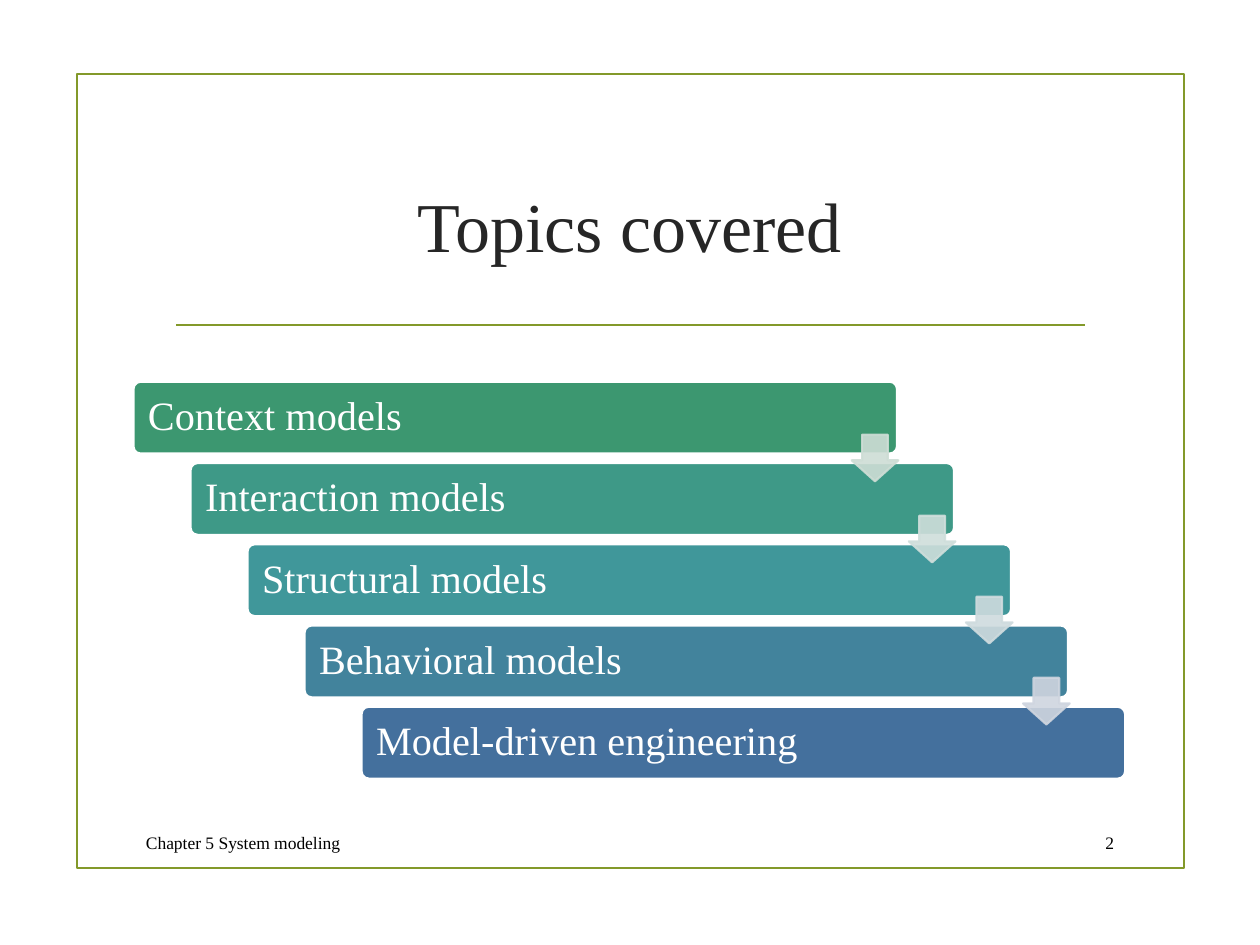
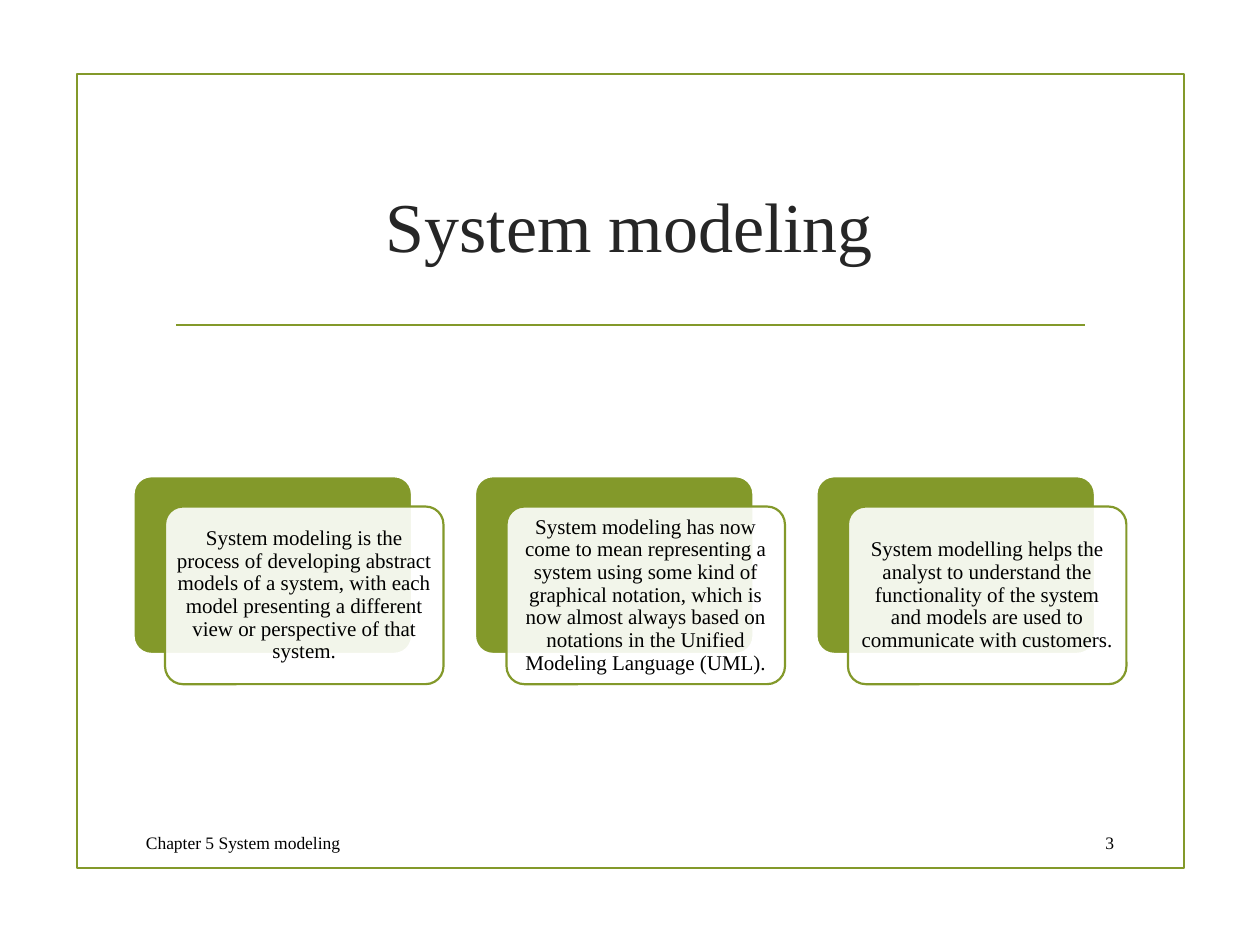
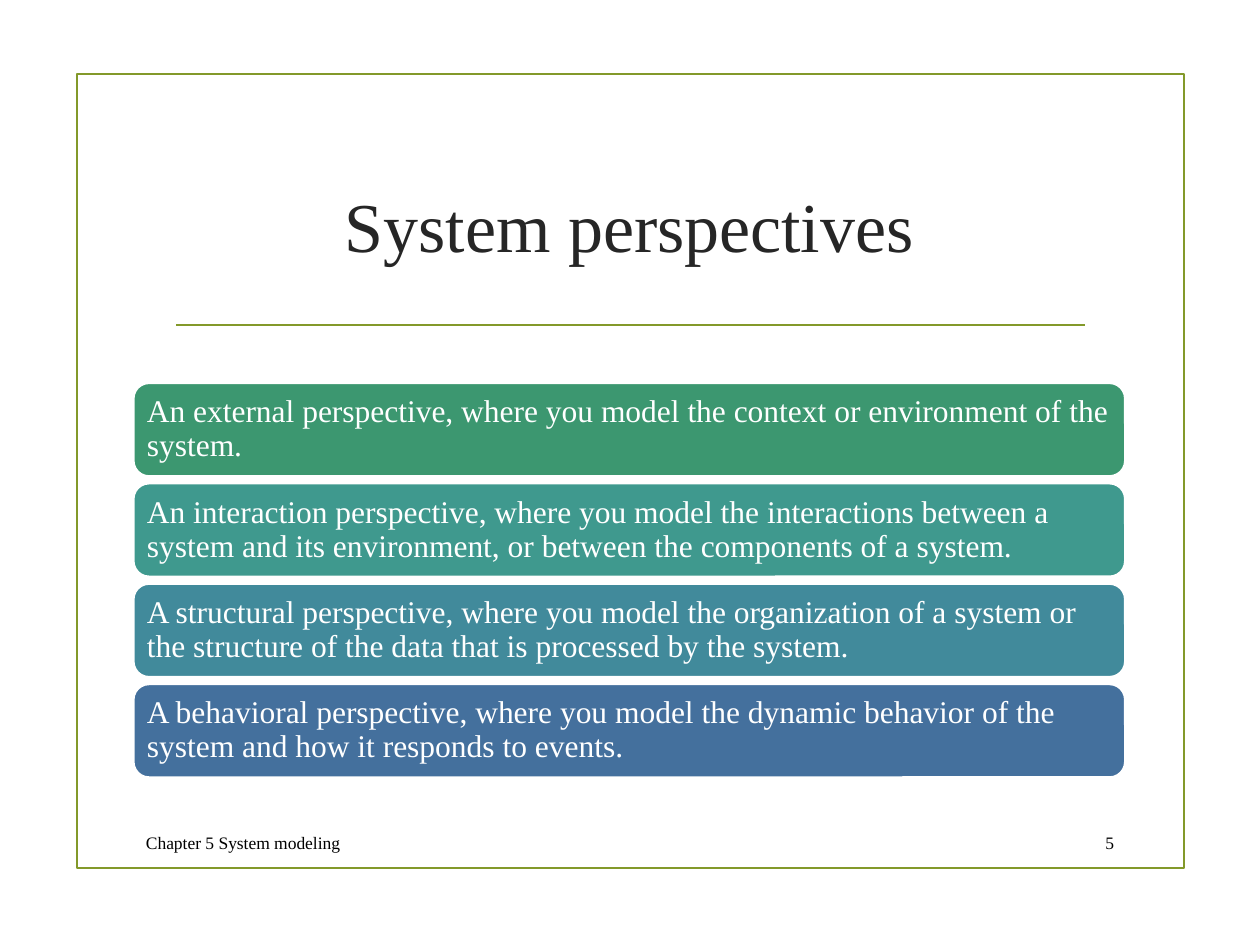
import pptx
import pptx.dml.color
import pptx.enum.shapes
import pptx.enum.text
import pptx.oxml.ns
import pptx.oxml.xmlchemy
import pptx.util
from pptx.util import Inches

FONT = "Times New Roman"
OLIVE = "83992A"
WHITE = "FFFFFF"
BLACK = "000000"
TITLE_COLOR = "262626"
LEFT, WIDTH = 1.06, 7.87
FOOTER = "Chapter 5 System modeling"

SHAPE = pptx.enum.shapes.MSO_SHAPE
ALIGN = pptx.enum.text.PP_ALIGN

TOPICS = [
    ("Context models", "3C9770"),
    ("Interaction models", "3E9987"),
    ("Structural models", "40979A"),
    ("Behavioral models", "42839C"),
    ("Model-driven engineering", "44709D"),
]
ARROW_COLORS = ["CEDDD5", "CFDEDB", "CFDBDE", "CFD5DF"]

STATEMENTS = [
    "System modeling is the process of developing abstract models of a system, "
    "with each model presenting a different view or perspective of that system.",
    "System modeling has now come to mean representing a system using some kind of "
    "graphical notation, which is now almost always based on notations in the "
    "Unified Modeling Language (UML).",
    "System modelling helps the analyst to understand the functionality of the "
    "system and models are used to communicate with customers.",
]

PERSPECTIVES = [
    ("An external perspective, where you model the context or environment of the "
     "system.", "3C9770"),
    ("An interaction perspective, where you model the interactions between a system "
     "and its environment, or between the components of a system.", "3F998E"),
    ("A structural perspective, where you model the organization of a system or the "
     "structure of the data that is processed by the system.", "418A9B"),
    ("A behavioral perspective, where you model the dynamic behavior of the system "
     "and how it responds to events.", "44709D"),
]


def rgb(value):
    return pptx.dml.color.RGBColor.from_string(value)


def spread(first, last, count):
    """Return count evenly spaced positions from first to last."""
    return [first + i * (last - first) / (count - 1) for i in range(count)]


def set_opacity(element, percent):
    """Add an alpha value to every solid colour below an XML element."""
    for color in element.iter(pptx.oxml.ns.qn("a:srgbClr")):
        alpha = pptx.oxml.xmlchemy.OxmlElement("a:alpha")
        alpha.set("val", str(percent * 1000))
        color.append(alpha)


def set_text(sp, text, size, color, align=ALIGN.LEFT, inset=None, spacing=1.0):
    tf = sp.text_frame
    tf.word_wrap = True
    tf.auto_size = pptx.enum.text.MSO_AUTO_SIZE.NONE
    tf.vertical_anchor = pptx.enum.text.MSO_ANCHOR.MIDDLE
    if inset is not None:
        tf.margin_left = tf.margin_right = Inches(inset)
        tf.margin_top = tf.margin_bottom = Inches(inset)
    p = tf.paragraphs[0]
    p.text = text
    p.alignment = align
    p.line_spacing = spacing
    p.font.name = FONT
    p.font.size = pptx.util.Pt(size)
    p.font.color.rgb = rgb(color)


def add_shape(slide, kind, x, y, w, h, fill=None, line=WHITE, adjustments=()):
    sp = slide.shapes.add_shape(kind, Inches(x), Inches(y), Inches(w), Inches(h))
    sp.shadow.inherit = False
    for i, value in enumerate(adjustments):
        sp.adjustments[i] = value
    if fill:
        sp.fill.solid()
        sp.fill.fore_color.rgb = rgb(fill)
    else:
        sp.fill.background()
    sp.line.color.rgb = rgb(line)
    sp.line.width = pptx.util.Pt(1.25)
    return sp


def add_footer_text(slide, text, x, w, align):
    sp = slide.shapes.add_textbox(Inches(x), Inches(6.53), Inches(w), Inches(0.31))
    set_text(sp, text, 10, BLACK, align)


def add_title_rule(slide):
    rule = slide.shapes.add_connector(
        pptx.enum.shapes.MSO_CONNECTOR.STRAIGHT,
        Inches(1.4), Inches(2.58), Inches(8.61), Inches(2.58))
    rule.line.color.rgb = rgb(OLIVE)
    rule.line.width = pptx.util.Pt(1.25)
    rule._element.spPr.append(pptx.oxml.xmlchemy.OxmlElement("a:effectLst"))


def add_framed_slide(prs, title, number):
    """Add a slide with the frame, title, rule and footer that all slides share."""
    slide = prs.slides.add_slide(prs.slide_layouts[5])
    add_shape(slide, SHAPE.RECTANGLE, 0.61, 0.59, 8.79, 6.3, line=OLIVE)
    add_title_rule(slide)
    sp = slide.shapes.title
    sp.left, sp.top = Inches(LEFT), Inches(1.07)
    sp.width, sp.height = Inches(WIDTH), Inches(1.43)
    set_text(sp, title, 40, TITLE_COLOR, ALIGN.CENTER)
    add_footer_text(slide, FOOTER, LEFT, 5.99, ALIGN.LEFT)
    add_footer_text(slide, str(number), 8.49, 0.45, ALIGN.RIGHT)
    return slide


def add_staircase(slide):
    count = len(TOPICS)
    steps = zip(TOPICS, spread(LEFT, 2.87, count), spread(3.03, 5.61, count))
    for (text, color), x, y in steps:
        bar = add_shape(slide, SHAPE.ROUNDED_RECTANGLE, x, y, 6.06, 0.57, color,
                        adjustments=[0.1])
        set_text(bar, text, 23, WHITE, inset=0.1, spacing=0.9)
    count = len(ARROW_COLORS)
    arrows = zip(ARROW_COLORS, spread(6.76, 8.12, count), spread(3.45, 5.38, count))
    for color, x, y in arrows:
        arrow = add_shape(slide, SHAPE.DOWN_ARROW, x, y, 0.37, 0.37, color, color,
                          [0.55, 0.45])
        set_opacity(arrow._element.spPr, 90)


def add_statement_cards(slide):
    for text, x in zip(STATEMENTS, spread(LEFT, 6.48, len(STATEMENTS))):
        add_shape(slide, SHAPE.ROUNDED_RECTANGLE, x, 3.78, 2.21, 1.41, OLIVE,
                  adjustments=[0.1])
        card = add_shape(slide, SHAPE.ROUNDED_RECTANGLE, x + 0.25, 4.02, 2.21, 1.41,
                         WHITE, OLIVE, [0.1])
        set_opacity(card._element.spPr.find(pptx.oxml.ns.qn("a:solidFill")), 90)
        set_text(card, text, 12, BLACK, ALIGN.CENTER, 0.05, 0.9)


def add_perspective_bars(slide):
    rows = zip(PERSPECTIVES, spread(3.04, 5.43, len(PERSPECTIVES)))
    for (text, color), y in rows:
        bar = add_shape(slide, SHAPE.ROUNDED_RECTANGLE, LEFT, y, WIDTH, 0.74, color)
        set_text(bar, text, 18, WHITE, inset=0.07, spacing=0.9)


def main():
    prs = pptx.Presentation()
    prs.slide_width, prs.slide_height = Inches(10), Inches(7.5)
    add_staircase(add_framed_slide(prs, "Topics covered", 2))
    add_statement_cards(add_framed_slide(prs, "System modeling", 3))
    add_perspective_bars(add_framed_slide(prs, "System perspectives", 5))
    prs.save("out.pptx")


if __name__ == "__main__":
    main()
